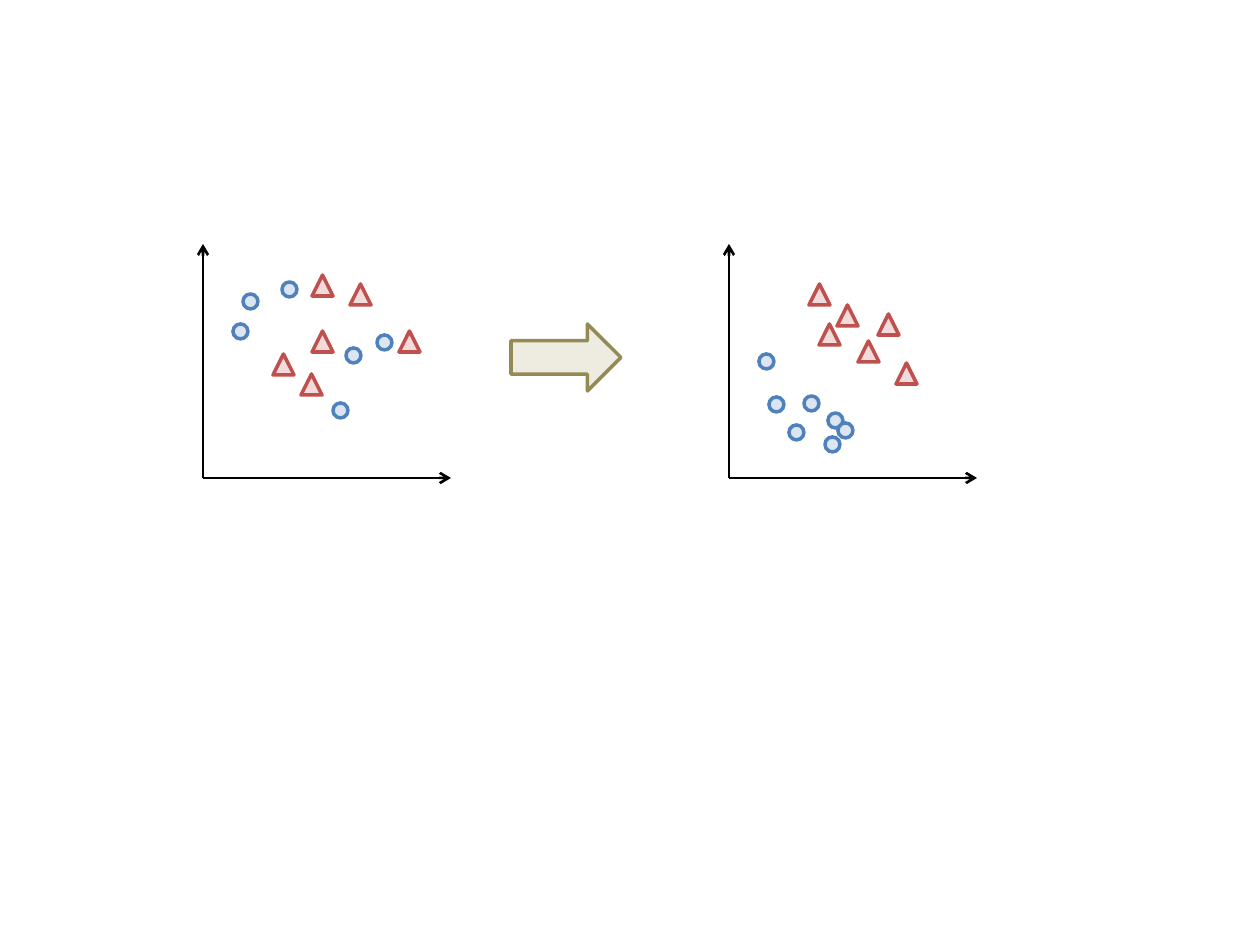
from lxml.etree import SubElement
from pptx import Presentation
from pptx.dml.color import RGBColor
from pptx.enum.shapes import MSO_CONNECTOR, MSO_SHAPE as SHAPE
from pptx.oxml.ns import qn
from pptx.util import Pt

PX = 914400 / 126  # EMU per px
CIRCLE, TRIANGLE = 15, 21
AXIS_TOP, AXIS_BOTTOM, AXIS_WIDTH = 244, 478, 248


def rgb(code):
    return RGBColor.from_string(code)


def add_mark(kind, left, top, width, height, fill, line):
    mark = page.shapes.add_shape(
        kind, *(round(n * PX) for n in (left, top, width, height)))
    mark.shadow.inherit = False
    mark.fill.solid()
    mark.fill.fore_color.rgb = rgb(fill)
    mark.line.color.rgb = rgb(line)
    mark.line.width = Pt(2)


deck = Presentation()
deck.slide_width = round(1260 * PX)
deck.slide_height = round(945 * PX)
page = deck.slides.add_slide(deck.slide_layouts[6])

# Each plot: x of its origin, then the top left corners of its marks
plots = [
    (203,
     [(282, 282), (346, 348), (377, 335), (333, 403), (233, 324), (243, 294)],
     [(273, 354), (301, 374), (312, 275), (312, 331), (350, 284), (399, 331)]),
    (729,
     [(769, 397), (804, 396), (789, 425), (825, 437), (759, 354), (828, 413),
      (838, 423)],
     [(809, 284), (837, 305), (819, 324), (878, 314), (858, 341), (896, 363)]),
]

for origin, circles, triangles in plots:
    for tip in [(origin, AXIS_TOP), (origin + AXIS_WIDTH, AXIS_BOTTOM)]:
        ends = (*tip, origin, AXIS_BOTTOM)
        axis = page.shapes.add_connector(
            MSO_CONNECTOR.STRAIGHT, *(round(n * PX) for n in ends))
        axis.line.color.rgb = rgb("000000")
        axis.line.width = Pt(1.5)
        SubElement(axis.line._get_or_add_ln(), qn("a:headEnd"), type="arrow")
        SubElement(axis._element.spPr, qn("a:effectLst"))
    for left, top in circles:
        add_mark(SHAPE.OVAL, left, top, CIRCLE, CIRCLE, "DCE6F2", "4F81BD")
    for left, top in triangles:
        add_mark(SHAPE.ISOSCELES_TRIANGLE, left, top, TRIANGLE, TRIANGLE,
                 "F2DCDB", "C0504D")

add_mark(SHAPE.RIGHT_ARROW, 511, 324, 110, 67, "EEECE1", "948A54")

deck.save("out.pptx")
